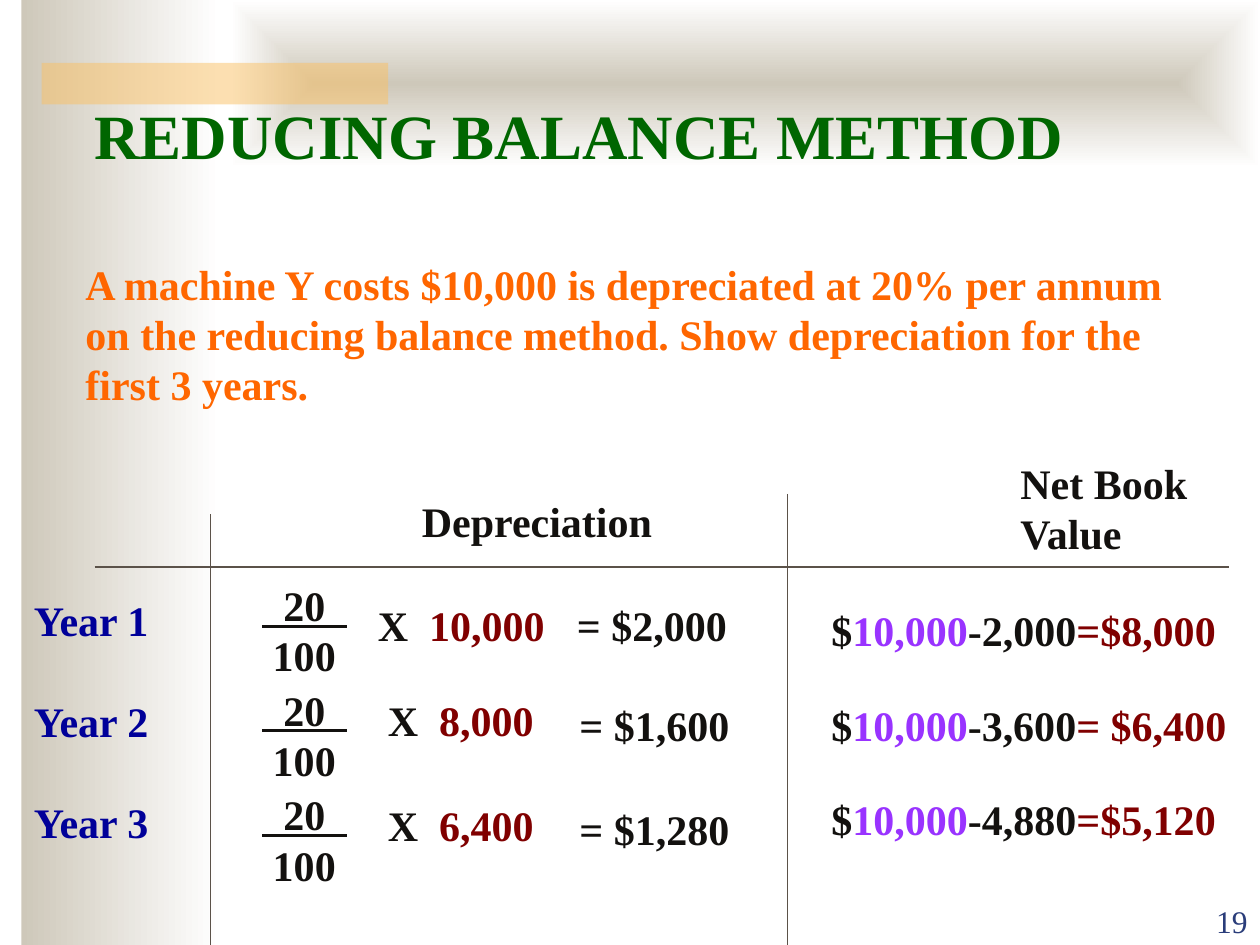
from dataclasses import dataclass

from lxml import etree
from pptx import Presentation
from pptx.dml.color import RGBColor
from pptx.enum import shapes, text
from pptx.oxml.ns import qn
from pptx.util import Inches, Pt

FONT = "Times New Roman"
SAND = RGBColor(0xCE, 0xC8, 0xBA)
WHITE = RGBColor(0xFF, 0xFF, 0xFF)
AMBER = RGBColor(0xFA, 0xC1, 0x64)
NAVY = RGBColor(0x2A, 0x3D, 0x7A)
ORANGE = RGBColor(0xFF, 0x66, 0x00)
GREEN = RGBColor(0x00, 0x66, 0x00)
BLUE = RGBColor(0x00, 0x00, 0x99)
PURPLE = RGBColor(0x99, 0x33, 0xFF)
MAROON = RGBColor(0x80, 0x00, 0x00)
INK = RGBColor(0x13, 0x11, 0x0F)
RULE = RGBColor(0x5B, 0x52, 0x49)

Run = tuple[str, RGBColor]
Box = tuple[float, float, float, float]


@dataclass
class YearRow:
    label: str
    opening: str
    charge: str
    accumulated: str
    closing: str
    product_at: Box
    charge_at: tuple[float, float]
    value_at: Box


YEARS = [
    YearRow("Year 1", "10,000", "= $2,000", "-2,000", "=$8,000",
            (2.9, 4.71, 1.53, 0.5), (4.48, 4.71), (6.5, 4.75, 3.25, 0.5)),
    YearRow("Year 2", "8,000", "= $1,600", "-3,600", "= $6,400",
            (2.98, 5.46, 1.36, 0.5), (4.5, 5.5), (6.5, 5.5, 3.34, 0.5)),
    YearRow("Year 3", "6,400", "= $1,280", "-4,880", "=$5,120",
            (2.98, 6.3, 1.36, 0.5), (4.5, 6.33), (6.5, 6.25, 3.25, 0.5)),
]
LABEL_TOP, LABEL_STEP = 4.67, 0.8
FRACTION_TOP, FRACTION_STEP = 4.55, 0.83


def add_text(slide, box: Box, lines: list[list[Run]], size: float = 24,
             bold: bool = True, align=text.PP_ALIGN.LEFT, wrap: bool = False):
    """Add a text box: one paragraph per line, each a list of coloured runs."""
    tb = slide.shapes.add_textbox(*map(Inches, box))
    tf = tb.text_frame
    tf.word_wrap = wrap
    for i, runs in enumerate(lines):
        p = tf.paragraphs[0] if i == 0 else tf.add_paragraph()
        p.alignment = align
        p.font.name, p.font.size, p.font.bold = FONT, Pt(size), bold
        for words, color in runs:
            r = p.add_run()
            r.text = words
            r.font.color.rgb = color
    return tf


def add_line(slide, x1: float, y1: float, x2: float, y2: float,
             color: RGBColor = RULE, width: float = 0.75) -> None:
    c = slide.shapes.add_connector(shapes.MSO_CONNECTOR.STRAIGHT,
                                   *map(Inches, (x1, y1, x2, y2)))
    c.line.color.rgb = color
    c.line.width = Pt(width)
    etree.SubElement(c._element.spPr, qn("a:effectLst"))


def add_panel(slide, box: Box):
    s = slide.shapes.add_shape(shapes.MSO_SHAPE.RECTANGLE, *map(Inches, box))
    s.shadow.inherit = False
    s.line.fill.background()
    return s


def add_gradient_panel(slide, box: Box, from_centre: bool = False) -> None:
    """Fade sand to white, either left to right or from the centre outwards."""
    s = add_panel(slide, box)
    s.fill.gradient()
    s.fill.gradient_angle = 0
    for stop, color in zip(s.fill.gradient_stops, (SAND, WHITE)):
        stop.color.rgb = color
    if from_centre:
        grad = s._element.spPr.find(qn("a:gradFill"))
        grad.remove(grad.find(qn("a:lin")))
        shade = etree.SubElement(grad, qn("a:path"), {"path": "shape"})
        etree.SubElement(shade, qn("a:fillToRect"),
                         dict.fromkeys("ltrb", "50000"))


def add_accent_bar(slide) -> None:
    s = add_panel(slide, (0.33, 0.5, 2.75, 0.33))
    s.fill.solid()
    s.fill.fore_color.rgb = AMBER
    color = s._element.spPr.find(".//" + qn("a:srgbClr"))
    etree.SubElement(color, qn("a:alpha"), val="50000")


def add_fraction(slide, top: float) -> None:
    add_text(slide, (1.98, top, 0.87, 0.9), [[("20", INK)], [("100", INK)]],
             align=text.PP_ALIGN.CENTER)
    add_line(slide, 2.08, top + 0.42, 2.75, top + 0.42, INK, 1.75)


def add_year(slide, index: int, row: YearRow) -> None:
    add_text(slide, (0.17, LABEL_TOP + index * LABEL_STEP, 1.42, 0.5),
             [[(row.label, BLUE)]], wrap=True)
    add_fraction(slide, FRACTION_TOP + index * FRACTION_STEP)
    add_text(slide, row.product_at, [[("X  ", INK), (row.opening, MAROON)]])
    add_text(slide, (*row.charge_at, 1.39, 0.5), [[(row.charge, INK)]])
    add_text(slide, row.value_at,
             [[("$", INK), ("10,000", PURPLE), (row.accumulated, INK),
               (row.closing, MAROON)]])


def main() -> None:
    prs = Presentation()
    prs.slide_width, prs.slide_height = Inches(10), Inches(7.5)
    slide = prs.slides.add_slide(prs.slide_layouts[6])

    add_gradient_panel(slide, (0.17, 0, 1.58, 7.5))
    add_gradient_panel(slide, (1.83, 0, 8.17, 1.33), from_centre=True)
    add_accent_bar(slide)

    add_text(slide, (0.65, 0.72, 7.9, 0.7),
             [[("REDUCING BALANCE METHOD", GREEN)]], size=36)
    question = ("A machine Y costs $10,000 is depreciated at 20% per annum",
                "on the reducing balance method. Show depreciation for the",
                "first 3 years.")
    add_text(slide, (0.58, 2, 8.8, 1.3), [[(line, ORANGE)] for line in question])

    add_line(slide, 0.75, 4.5, 9.75, 4.5)
    add_line(slide, 6.25, 3.92, 6.25, 7.5)
    add_line(slide, 1.67, 4.08, 1.67, 7.5)
    add_text(slide, (3.25, 3.88, 2.52, 0.5), [[("Depreciation", INK)]], wrap=True)
    add_text(slide, (8, 3.58, 1.61, 0.9), [[("Net Book", INK)], [("Value", INK)]])
    for i, row in enumerate(YEARS):
        add_year(slide, i, row)

    number = add_text(slide, (9, 7.01, 1, 0.5), [[("19", NAVY)]], size=18,
                      bold=False, align=text.PP_ALIGN.RIGHT, wrap=True)
    number.vertical_anchor = text.MSO_ANCHOR.BOTTOM

    prs.save("out.pptx")


if __name__ == "__main__":
    main()
